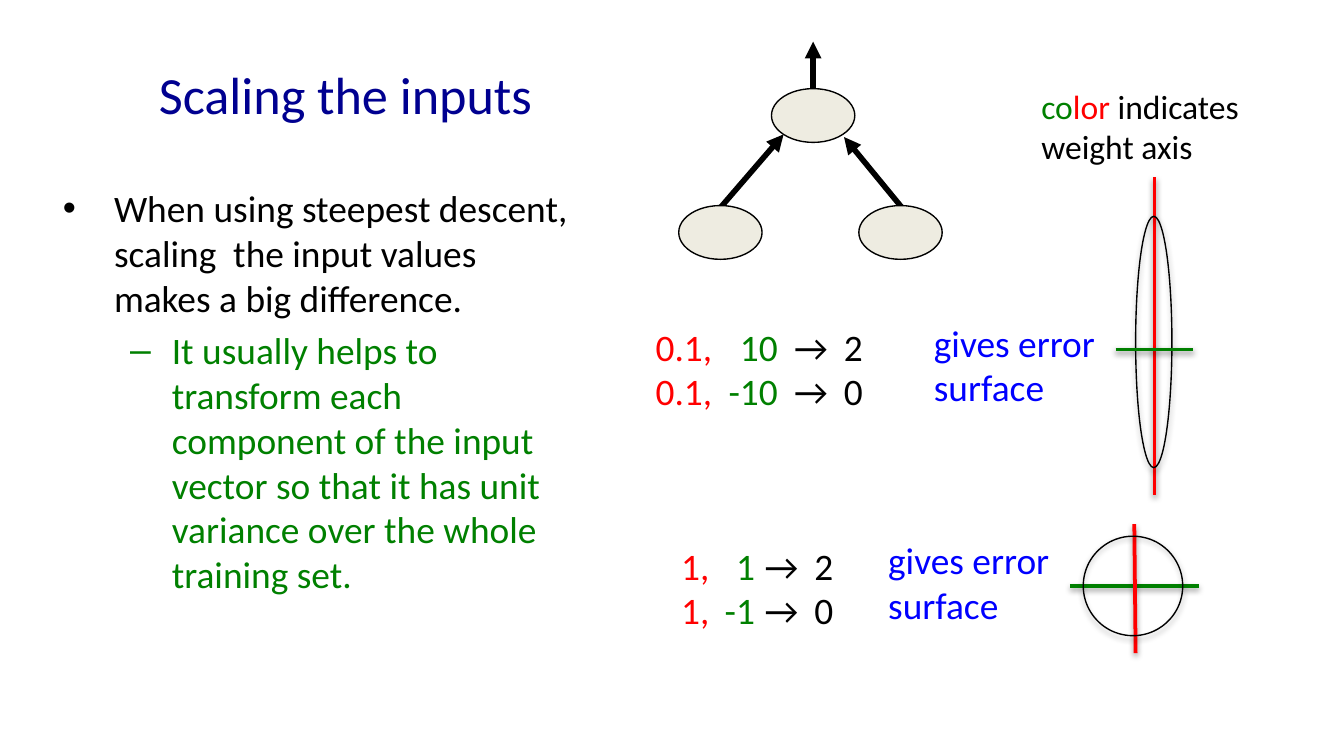
from lxml import etree
from pptx import Presentation
from pptx import util as u
from pptx.dml.color import RGBColor
from pptx.enum import shapes, text
from pptx.oxml.ns import qn

COLORS = {"navy": "000090", "black": "000000", "green": "008000",
          "red": "FF0000", "blue": "0000FF", "cream": "EEECE1"}


class InputScalingSlide:
    """Holds the style and the slide, with a method for each kind of element."""

    font = "Calibri"

    def __init__(self, slide):
        self.slide = slide

    def color(self, name):
        return RGBColor.from_string(COLORS[name])

    def effects(self, shape, shadow, alpha):
        effect_list = etree.SubElement(shape._element.spPr, qn("a:effectLst"))
        if shadow:
            outer = etree.SubElement(effect_list, qn("a:outerShdw"), blurRad=str(u.Pt(3.1)),
                                     dist=str(u.Pt(1.7)), dir="5400000", rotWithShape="0")
            black = etree.SubElement(outer, qn("a:srgbClr"), val=COLORS["black"])
            etree.SubElement(black, qn("a:alpha"), val=str(alpha * 1000))

    def ellipse(self, left, top, width, height, fill=None, shadow=False):
        oval = self.slide.shapes.add_shape(shapes.MSO_SHAPE.OVAL, *map(u.Inches, (left, top, width, height)))
        if fill:
            oval.fill.solid()
            oval.fill.fore_color.rgb = self.color(fill)
        else:
            oval.fill.background()
        oval.line.color.rgb = self.color("black")
        oval.line.width = u.Pt(0.75)
        self.effects(oval, shadow, 35)
        return oval

    def line(self, start, end, color, width=2, arrow=False):
        stroke = self.slide.shapes.add_connector(shapes.MSO_CONNECTOR.STRAIGHT, *map(u.Inches, start + end))
        stroke.line.color.rgb = self.color(color)
        stroke.line.width = u.Pt(width)
        if arrow:
            etree.SubElement(stroke.line._get_or_add_ln(), qn("a:tailEnd"), type="triangle")
        self.effects(stroke, not arrow, 38)
        return stroke

    def frame(self, left, top, width, height):
        box = self.slide.shapes.add_textbox(*map(u.Inches, (left, top, width, height)))
        box.text_frame.word_wrap = True
        return box.text_frame

    def runs(self, paragraph, pieces, size=20):
        for words, color in pieces:
            run = paragraph.add_run()
            run.text = words
            run.font.name = self.font
            run.font.size = u.Pt(size)
            run.font.color.rgb = self.color(color)

    def label(self, at, pieces, size=20):
        frame = self.frame(*at)
        self.runs(frame.paragraphs[0], pieces, size)
        return frame

    def bullets(self, at, items):
        frame = self.frame(*at)
        for number, (mark, margin, indent, words, color) in enumerate(items):
            paragraph = frame.add_paragraph() if number else frame.paragraphs[0]
            properties = paragraph._p.get_or_add_pPr()
            properties.set("marL", str(u.Inches(margin)))
            properties.set("indent", str(u.Inches(indent)))
            if number:
                paragraph.level = number
                paragraph.space_before = u.Pt(4)
            etree.SubElement(properties, qn("a:buFont"), typeface="Arial")
            etree.SubElement(properties, qn("a:buChar"), char=mark)
            self.runs(paragraph, [(words, color)])

    def cases(self, at, stops, rows):
        frame = self.frame(*at)
        for number, (first, second, target) in enumerate(rows):
            paragraph = frame.add_paragraph() if number else frame.paragraphs[0]
            tabs = etree.SubElement(paragraph._p.get_or_add_pPr(), qn("a:tabLst"))
            for stop, align in zip(stops, ("r", "l", "l")):
                etree.SubElement(tabs, qn("a:tab"), pos=str(u.Inches(stop)), algn=align)
            self.runs(paragraph, [(f"{first},\t", "red"), (second, "green"), (f"\t→\t{target}", "black")])


def main():
    deck = Presentation()
    deck.slide_width, deck.slide_height = u.Inches(10), u.Inches(10 * 9 / 16)
    page = InputScalingSlide(deck.slides.add_slide(deck.slide_layouts[6]))

    title = page.label((0.2, 0.23, 4.74, 0.94), [("Scaling the inputs", "navy")], 28)
    title.vertical_anchor = text.MSO_ANCHOR.MIDDLE
    title.paragraphs[0].alignment = text.PP_ALIGN.CENTER
    page.bullets((0.37, 1.33, 4.02, 3.71), [
        ("•", 0.38, -0.38, "When using steepest descent, scaling  the input values "
         "makes a big difference.", "black"),
        ("–", 0.81, -0.31, "It usually helps to transform each component of the input "
         "vector so that it has unit variance over the whole training set.", "green")])

    output_neuron = page.ellipse(5.74, 0.66, 0.62, 0.4, "cream")
    for start, end in (((5.33, 1.58), (5.83, 1)), ((6.74, 1.58), (6.28, 1.02))):
        page.line(start, end, "black", 3, arrow=True)
    for left in (5.05, 6.39):
        page.ellipse(left, 1.53, 0.62, 0.4, "cream")
    output_arrow = page.line((6.05, 0.66), (6.05, 0.31), "black", 3, arrow=True)
    output_arrow.begin_connect(output_neuron, 0)

    page.cases((4.97, 3.99, 1.38, 0.77), (0.55, 0.62, 0.99), [("1", "1", "2"), ("1", "-1", "0")])
    page.cases((4.78, 2.36, 1.79, 0.77), (0.91, 1.03, 1.4), [("0.1", "10", "2"), ("0.1", "-10", "0")])
    for left, top in ((6.51, 3.95), (6.85, 2.33)):
        page.label((left, top, 1.41, 0.77), [("gives error surface", "blue")])

    page.line((7.96, 4.36), (8.92, 4.36), "green")
    page.line((8.44, 3.9), (8.45, 4.86), "red")
    page.ellipse(8.06, 3.99, 0.74, 0.74, shadow=True).rotation = 317
    page.line((8.59, 1.32), (8.59, 3.68), "red")
    page.ellipse(8.45, 1.61, 0.27, 1.87, shadow=True)
    page.line((8.3, 2.6), (8.88, 2.6), "green")
    page.label((7.65, 0.59, 1.94, 0.71),
               [("co", "green"), ("lor", "red"), (" indicates weight axis", "black")], 18)

    deck.save("out.pptx")


if __name__ == "__main__":
    main()
